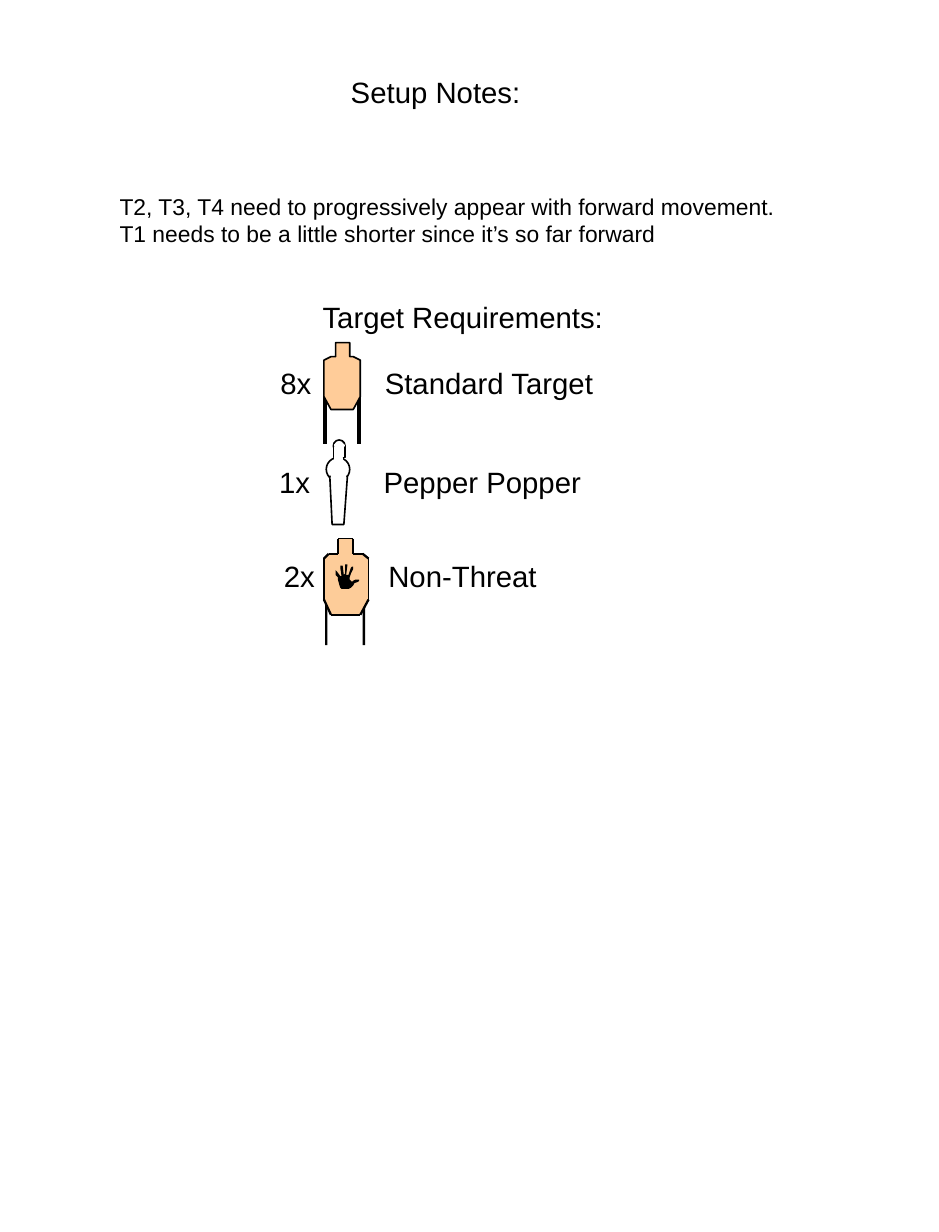
from lxml.etree import SubElement
from pptx import Presentation
from pptx.dml.color import RGBColor
from pptx.enum.shapes import MSO_CONNECTOR, MSO_SHAPE
from pptx.oxml.ns import qn
from pptx.util import Inches, Pt

BLACK, WHITE, TAN, PALE_TAN = "000000", "FFFFFF", "FFCC99", "FDCC99"
LABEL_TAB = 0.89

# text, left, top, width, height, size
HEADINGS = [
    ("Setup Notes:", 2.89, 0.58, 1.8, 0.4, 18),
    ("T2, T3, T4 need to progressively appear with forward movement.\n"
     "T1 needs to be a little shorter since it’s so far forward",
     0.92, 1.59, 6.17, 0.57, 14),
    ("Target Requirements:", 2.65, 2.5, 2.8, 0.4, 18),
]
# count, target, left, top
REQUIREMENTS = [
    ("8x", "Standard Target", 2.29, 3.06),
    ("1x", "Pepper Popper", 2.28, 3.91),
    ("2x", "Non-Threat", 2.32, 4.71),
]

STANDARD_OUTLINE = [
    (2.86, 2.92), (2.98, 2.92), (2.98, 3.04), (3.01, 3.04), (3.07, 3.07),
    (3.07, 3.38), (3.01, 3.49), (2.82, 3.49), (2.76, 3.38), (2.76, 3.07),
    (2.82, 3.04), (2.86, 3.04),
]
STANDARD_LEGS = [2.77, 3.06]

POPPER_BODY = [(2.81, 4.06), (2.96, 4.06), (2.93, 4.47), (2.83, 4.47)]
POPPER_CIRCLES = [(2.84, 3.75, 0.1), (2.78, 3.9, 0.2)]  # left, top, diameter
# left, top, width, height, line: the neck, then covers for the inner seams
POPPER_BARS = [
    (2.84, 3.8, 0.1, 0.1, BLACK),
    (2.82, 4.05, 0.13, 0.03, None),
    (2.85, 3.9, 0.07, 0.02, WHITE),
    (2.85, 3.79, 0.08, 0.01, WHITE),
]

NON_THREAT_OUTLINE = [
    (2.88, 4.59), (2.88, 4.72), (2.8, 4.72), (2.76, 4.76), (2.76, 5.11),
    (2.82, 5.24), (3.07, 5.24), (3.14, 5.11), (3.14, 4.76), (3.09, 4.72),
    (3.01, 4.72), (3.01, 4.59),
]
NON_THREAT_LEGS = [3.09, 2.77]
HAND = [
    (2.99, 5.01), (2.97, 5.02), (2.91, 5.02), (2.9, 5.01), (2.89, 4.98),
    (2.88, 4.94), (2.88, 4.92), (2.86, 4.9), (2.86, 4.86), (2.87, 4.87),
    (2.9, 4.91), (2.91, 4.91), (2.9, 4.84), (2.9, 4.82), (2.92, 4.82),
    (2.93, 4.9), (2.94, 4.89), (2.94, 4.81), (2.96, 4.81), (2.96, 4.82),
    (2.95, 4.9), (2.97, 4.9), (2.99, 4.84), (3, 4.83), (3.01, 4.83),
    (3.01, 4.85), (2.99, 4.89), (2.98, 4.92), (2.98, 4.94), (2.99, 4.95),
    (3, 4.96), (3.01, 4.95), (3.03, 4.94), (3.06, 4.94), (3.06, 4.95),
    (3.05, 4.96), (3.02, 4.97), (3.01, 4.99),
]


def color(value):
    return RGBColor.from_string(value)


def add_text(page, text, left, top, width, height, size=18, tab=None):
    box = page.shapes.add_textbox(*map(Inches, (left, top, width, height)))
    frame = box.text_frame
    frame.word_wrap = True
    for index, line in enumerate(text.split("\n")):
        para = frame.paragraphs[0] if index == 0 else frame.add_paragraph()
        if tab:
            tabs = SubElement(para._p.get_or_add_pPr(), qn("a:tabLst"))
            SubElement(tabs, qn("a:tab"), pos=str(Inches(tab)), algn="l")
        para.text = line
        for span in para.runs:
            span.font.name = "Arial"
            span.font.size = Pt(size)
            span.font.color.rgb = color(BLACK)


def paint(shape, fill, line=None):
    shape.shadow.inherit = False
    shape.fill.solid()
    shape.fill.fore_color.rgb = color(fill)
    if line:
        shape.line.color.rgb = color(line)
        shape.line.width = Pt(1)
    else:
        shape.line.fill.background()


def add_preset(group, kind, left, top, width, height, fill, line=None):
    shape = group.shapes.add_shape(kind, *map(Inches, (left, top, width, height)))
    paint(shape, fill, line)


def add_outline(group, points, fill, line=None):
    corners = [(Inches(x), Inches(y)) for x, y in points]
    builder = group.shapes.build_freeform(*corners[0])
    builder.add_line_segments(corners[1:], close=True)
    paint(builder.convert_to_shape(), fill, line)


def add_line(group, start, end, width):
    line = group.shapes.add_connector(
        MSO_CONNECTOR.STRAIGHT, *map(Inches, (*start, *end)))
    line.line.color.rgb = color(BLACK)
    line.line.width = Pt(width)
    SubElement(line._element.spPr, qn("a:effectLst"))


def draw_standard_target(page):
    group = page.shapes.add_group_shape()
    for x in STANDARD_LEGS:
        add_line(group, (x, 3.34), (x, 3.78), 2.25)
    add_outline(group, STANDARD_OUTLINE, TAN, BLACK)


def draw_popper(page):
    group = page.shapes.add_group_shape()
    for left, top, size in POPPER_CIRCLES:
        add_preset(group, MSO_SHAPE.OVAL, left, top, size, size, WHITE, BLACK)
    add_outline(group, POPPER_BODY, WHITE, BLACK)
    for left, top, width, height, line in POPPER_BARS:
        add_preset(group, MSO_SHAPE.RECTANGLE, left, top, width, height, WHITE, line)


def draw_non_threat(page):
    """Draw legs, body, edges (slanted ones heavier) and hand."""
    group = page.shapes.add_group_shape()
    for left in NON_THREAT_LEGS:
        add_preset(group, MSO_SHAPE.RECTANGLE, left, 5.07, 0.02, 0.43, BLACK)
    add_outline(group, NON_THREAT_OUTLINE, PALE_TAN)
    following = NON_THREAT_OUTLINE[1:] + NON_THREAT_OUTLINE[:1]
    for start, end in zip(NON_THREAT_OUTLINE, following):
        slanted = start[0] != end[0] and start[1] != end[1]
        add_line(group, start, end, 1.38 if slanted else 1)
    add_outline(group, HAND, BLACK)


def main():
    deck = Presentation()
    deck.slide_width, deck.slide_height = Inches(8), Inches(10.5)
    page = deck.slides.add_slide(deck.slide_layouts[6])
    for text, left, top, width, height, size in HEADINGS:
        add_text(page, text, left, top, width, height, size=size)
    draw_standard_target(page)
    for count, target, left, top in REQUIREMENTS:
        add_text(page, f"{count}\t{target}", left, top, 3.24, 0.4, tab=LABEL_TAB)
    draw_popper(page)
    draw_non_threat(page)
    deck.save("out.pptx")


if __name__ == "__main__":
    main()
